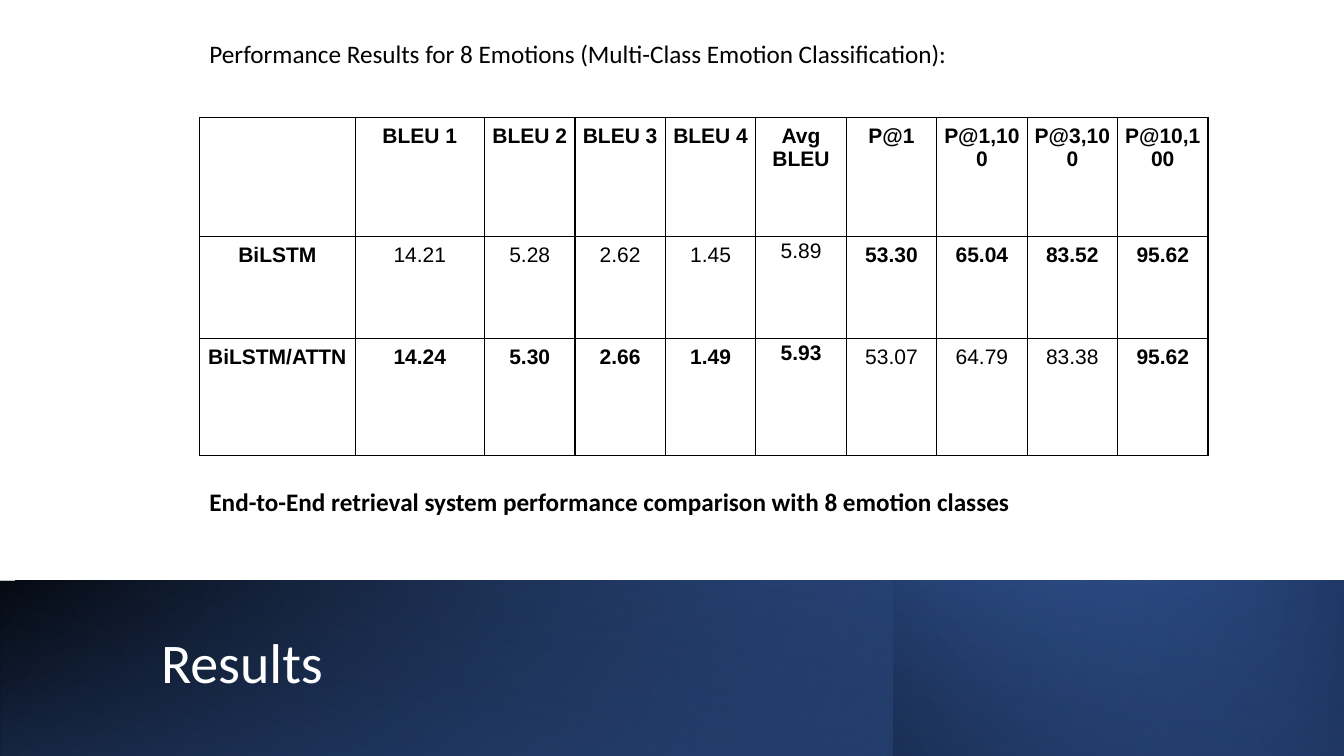
import dataclasses
import typing

import lxml.etree
import pptx
import pptx.dml.color
import pptx.enum.shapes
import pptx.enum.text
import pptx.oxml
import pptx.oxml.ns
import pptx.util

Cm = pptx.util.Cm
Pt = pptx.util.Pt
qn = pptx.oxml.ns.qn
ALIGN = pptx.enum.text.PP_ALIGN
ANCHOR = pptx.enum.text.MSO_ANCHOR


class Stop(typing.NamedTuple):
    place: int
    tint: str
    solid: int = 100


@dataclasses.dataclass
class Band:
    left: float
    width: float
    stops: list[Stop]
    angle: int
    flip: bool = True
    turn: int = 0


@dataclasses.dataclass
class Label:
    text: str
    box: tuple[float, float, float, float]
    size: int
    tint: str = "000000"
    bold: bool = False
    anchor: typing.Any = ANCHOR.TOP
    space: float = 1.0


def paint(tint: str) -> pptx.dml.color.RGBColor:
    return pptx.dml.color.RGBColor.from_string(tint)


def add_run(para, text: str, font: str, size: int, tint: str, bold: bool) -> None:
    run = para.add_run()
    run.text = text
    run.font.name = font
    run.font.size = Pt(size)
    run.font.bold = bold
    run.font.color.rgb = paint(tint)


def add_tint(parent, tint: str, solid: int = 100) -> None:
    clr = lxml.etree.SubElement(parent, qn("a:srgbClr"), val=tint)
    if solid < 100:
        lxml.etree.SubElement(clr, qn("a:alpha"), val=str(solid * 1000))


def draw_band(slide, band: Band) -> None:
    shape = slide.shapes.add_shape(
        pptx.enum.shapes.MSO_SHAPE.RECTANGLE,
        Cm(band.left), Cm(FLOOR), Cm(band.width), Cm(HIGH - FLOOR))
    shape.shadow.inherit = False
    shape.line.fill.background()
    shape.rotation = band.turn
    props = shape.element.spPr
    if band.flip:
        props.find(qn("a:xfrm")).set("flipH", "1")
    grad = pptx.oxml.parse_xml(
        f'<a:gradFill {pptx.oxml.ns.nsdecls("a")} rotWithShape="1"><a:gsLst/>'
        f'<a:lin ang="{band.angle * 60000}" scaled="0"/></a:gradFill>')
    for stop in band.stops:
        node = lxml.etree.SubElement(grad[0], qn("a:gs"), pos=str(stop.place * 1000))
        add_tint(node, stop.tint, stop.solid)
    props.find(qn("a:prstGeom")).addnext(grad)


def draw_label(slide, label: Label) -> None:
    frame = slide.shapes.add_textbox(*map(Cm, label.box)).text_frame
    frame.word_wrap = True
    frame.vertical_anchor = label.anchor
    para = frame.paragraphs[0]
    para.line_spacing = label.space
    add_run(para, label.text, "Calibri", label.size, label.tint, label.bold)


def add_edges(cell) -> None:
    props = cell._tc.get_or_add_tcPr()
    for spot, side in enumerate(("lnL", "lnR", "lnT", "lnB")):
        edge = pptx.oxml.parse_xml(
            f'<a:{side} {pptx.oxml.ns.nsdecls("a")} w="12700"><a:solidFill/></a:{side}>')
        add_tint(edge[0], "000000")
        props.insert(spot, edge)


def draw_cell(cell, text: str, bold: bool, inset: float) -> None:
    cell.fill.background()
    add_edges(cell)
    cell.margin_left = cell.margin_right = Cm(inset)
    cell.margin_top = cell.margin_bottom = Cm(inset)
    if text:
        para = cell.text_frame.paragraphs[0]
        para.alignment = ALIGN.CENTER
        add_run(para, text, "Arial", 15, "000000", bold)


def draw_scores(slide) -> None:
    grid = [HEADS] + [[name, *vals] for name, vals in SCORES.items()]
    best = [max(vals, key=float) for vals in zip(*SCORES.values())]
    table = slide.shapes.add_table(
        len(grid), len(HEADS), Cm(5.03), Cm(2.96), Cm(sum(WIDTHS)), Cm(sum(HEIGHTS))).table
    table.first_row = table.horz_banding = False
    for col, width in zip(table.columns, WIDTHS):
        col.width = Cm(width)
    for row, height in zip(table.rows, HEIGHTS):
        row.height = Cm(height)
    for r, texts in enumerate(grid):
        for c, text in enumerate(texts):
            # Heads, names and the best score of each column are bold
            bold = r == 0 or c == 0 or text == best[c - 1]
            tight = r > 0 and HEADS[c] == "Avg BLEU"
            draw_cell(table.cell(r, c), text, bold, 0.08 if tight else 0.18)


WIDE, HIGH, FLOOR = 33.87, 19.05, 14.63
BLACK, NAVY, BLUE = "000000", "203864", "4472C4"

BANDS = [
    Band(0, WIDE, [Stop(0, BLACK), Stop(100, BLUE)], 140),
    Band(0, WIDE, [Stop(0, BLUE, 0), Stop(100, NAVY)], 170),
    Band(22.53, WIDE - 22.53, [Stop(0, NAVY), Stop(100, BLUE, 0)], 220),
    Band(0, WIDE, [Stop(0, BLACK, 0), Stop(99, NAVY, 55)], 280, flip=False, turn=180),
]

LABELS = [
    Label("Results", (3.81, 15.32, 27.48, 2.87), 40, "FFFFFF",
          anchor=ANCHOR.MIDDLE, space=0.9),
    Label("End-to-End retrieval system performance comparison with 8 emotion classes",
          (5.03, 12.14, 23.14, 1.1), 18, bold=True),
    Label("Performance Results for 8 Emotions (Multi-Class Emotion Classification):",
          (5.03, 0.84, 21.95, 1.1), 18),
]

HEADS = ["", "BLEU 1", "BLEU 2", "BLEU 3", "BLEU 4", "Avg BLEU",
         "P@1", "P@1,100", "P@3,100", "P@10,100"]
SCORES = {
    "BiLSTM": ["14.21", "5.28", "2.62", "1.45", "5.89",
               "53.30", "65.04", "83.52", "95.62"],
    "BiLSTM/ATTN": ["14.24", "5.30", "2.66", "1.49", "5.93",
                    "53.07", "64.79", "83.38", "95.62"],
}
WIDTHS = [3.92, 3.26] + [2.28] * 8
HEIGHTS = [3, 2.56, 2.95]

deck = pptx.Presentation()
deck.slide_width, deck.slide_height = Cm(WIDE), Cm(HIGH)
slide = deck.slides.add_slide(deck.slide_layouts[6])

# Footer band
for band in BANDS:
    draw_band(slide, band)

# Title, caption and heading
for label in LABELS:
    draw_label(slide, label)

# Score table
draw_scores(slide)

deck.save("out.pptx")
